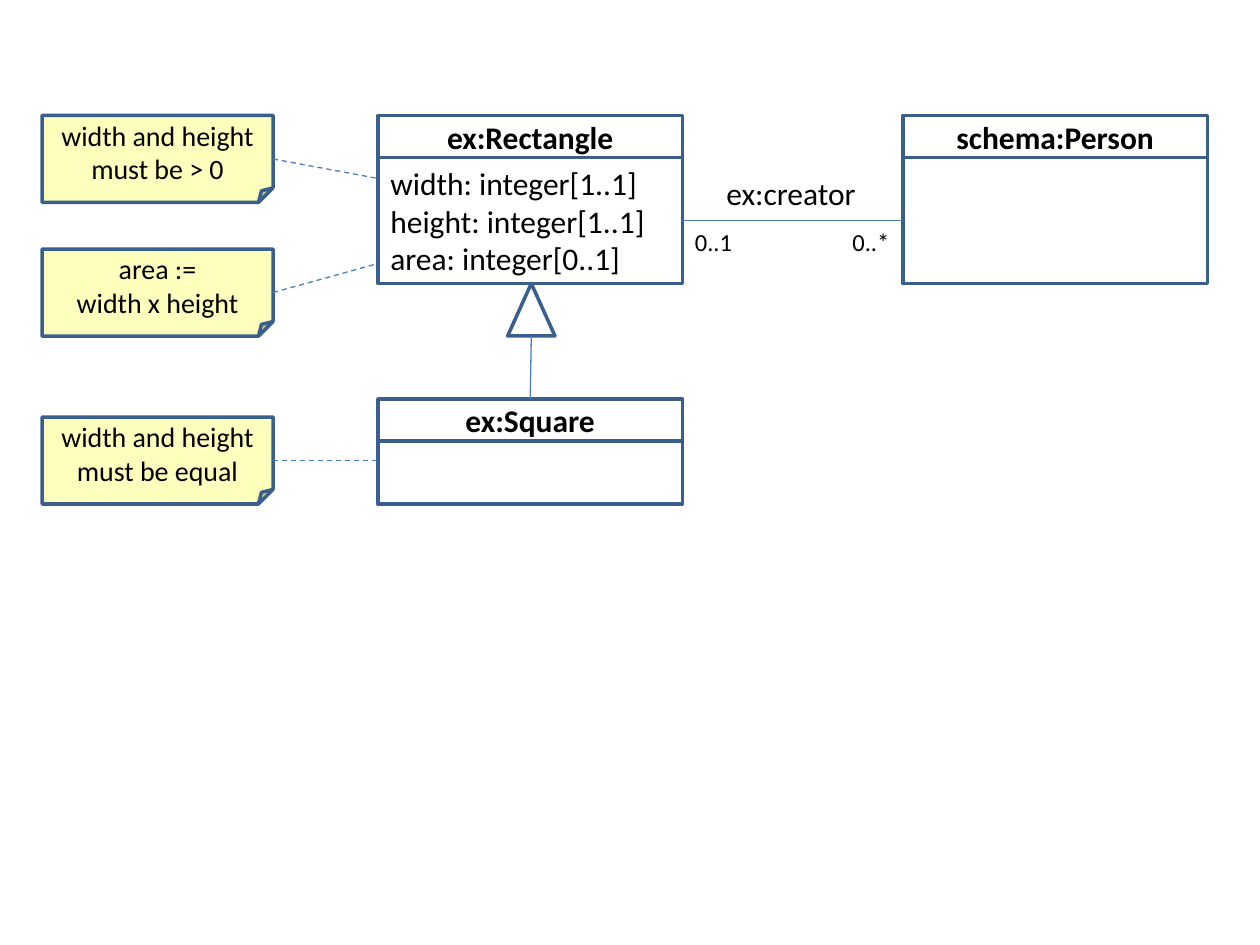
from lxml import etree
from pptx import Presentation
from pptx.dml.color import RGBColor
from pptx.enum.dml import MSO_LINE
from pptx.enum.shapes import MSO_CONNECTOR, MSO_SHAPE
from pptx.enum.text import MSO_ANCHOR, MSO_AUTO_SIZE, PP_ALIGN
from pptx.oxml.ns import qn
from pptx.util import Inches, Pt

RECT = MSO_SHAPE.RECTANGLE
FOLD = MSO_SHAPE.FOLDED_CORNER
TRI = MSO_SHAPE.ISOSCELES_TRIANGLE
STRAIGHT = MSO_CONNECTOR.STRAIGHT
DASH = MSO_LINE.DASH
LEFT, CENTER = PP_ALIGN.LEFT, PP_ALIGN.CENTER
TOP, MIDDLE = MSO_ANCHOR.TOP, MSO_ANCHOR.MIDDLE
GROW = MSO_AUTO_SIZE.SHAPE_TO_FIT_TEXT


def color(code):
    return RGBColor.from_string(code)


def grid(*cells):
    """Twelve grid cells to the inch."""
    return [Inches(cell / 12) for cell in cells]


def write(frame, text, size=18, bold=False, align=LEFT, anchor=TOP, wrap=True):
    frame.word_wrap = wrap
    frame.vertical_anchor = anchor
    for i, line in enumerate(text.split("\n")):
        para = frame.paragraphs[0] if i == 0 else frame.add_paragraph()
        para.text = line
        para.alignment = align
        for run in para.runs:
            font = run.font
            font.name, font.size, font.bold = "Calibri", Pt(size), bold
            font.color.rgb = color(Diagram.ink)


class Diagram:
    ink, edge, wire, paper = "000000", "3A5F8C", "4B7EBC", "FFFFBD"
    wide, head = 29, 4            # class box width, title height
    span, tall = 22, 8.28         # note width and height

    def __init__(self, slide):
        self.shapes = slide.shapes

    def shape(self, kind, x, y, w, h, text="", fill=None, **style):
        box = self.shapes.add_shape(kind, *grid(x, y, w, h))
        box.shadow.inherit = False
        if fill:
            box.fill.solid()
            box.fill.fore_color.rgb = color(fill)
        else:
            box.fill.background()
        box.line.color.rgb = color(self.edge)
        box.line.width = Pt(2)
        if text:
            write(box.text_frame, text, anchor=MIDDLE, **style)

    def entity(self, x, y, h, name, body=""):
        self.shape(RECT, x, y, self.wide, self.head, name, bold=True, align=CENTER)
        self.shape(RECT, x, y + self.head, self.wide, h, body)

    def line(self, x1, y1, x2, y2, dash=None):
        link = self.shapes.add_connector(STRAIGHT, *grid(x1, y1, x2, y2))
        etree.SubElement(link._element.spPr, qn("a:effectLst"))
        link.line.color.rgb = color(self.wire)
        link.line.width = Pt(0.75)
        if dash:
            link.line.dash_style = dash

    def label(self, x, y, w, h, text, size):
        box = self.shapes.add_textbox(*grid(x, y, w, h))
        write(box.text_frame, text, size=size, wrap=False)
        box.text_frame.auto_size = GROW

    def note(self, x, y, text, end):
        self.shape(FOLD, x, y, self.span, self.tall, text, self.paper,
                   size=16, align=CENTER)
        self.line(x + self.span, y + self.tall / 2, *end, dash=DASH)


deck = Presentation()
deck.slide_width, deck.slide_height = Inches(10), Inches(7.5)
uml = Diagram(deck.slides.add_slide(deck.slide_layouts[6]))

# Classes
mid, far, top = 36, 86, 11
uml.entity(far, top, 12, "schema:Person")
uml.entity(mid, top, 12, "ex:Rectangle",
           "width: integer[1..1]\nheight: integer[1..1]\narea: integer[0..1]")
uml.entity(mid, 38, 6, "ex:Square")

# Inheritance
uml.shape(TRI, 48.35, 27, 4.5, 5)
uml.line(50.6, 32, 50.5, 38)

# Association
uml.line(mid + uml.wide, 21, far, 21)
uml.label(68, 16, 14.9, 4.8, "ex:creator", 18)
for x, count in ((65, "0..1"), (80, "0..*")):
    uml.label(x, 21, 6, 4.1, count, 14)

# Constraint notes
for y, text, end in (
    (top, "width and height must be > 0", 17),
    (32 - uml.tall, "area :=\vwidth x height", 25.1),
    (48 - uml.tall, "width and height must be equal", 48 - uml.tall / 2),
):
    uml.note(4, y, text, (mid, end))

deck.save("out.pptx")
